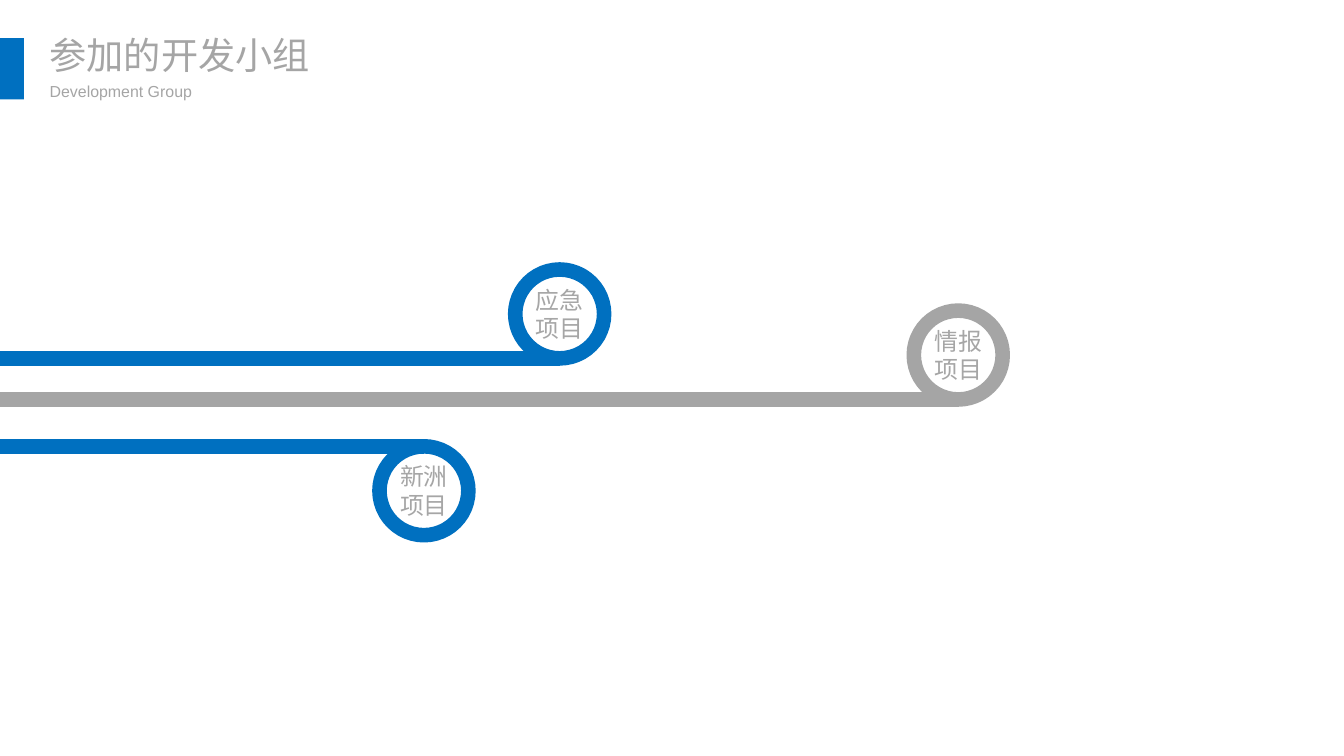
import pptx
import pptx.dml.color
import pptx.enum.shapes
import pptx.enum.text
import pptx.util
from lxml import etree

WIDTH, HEIGHT = 14.06, 7.91
BLUE, GRAY, LABEL, WHITE = "0070C0", "A5A5A5", "A6A6A6", "FFFFFF"
RING = 0.93
STROKE = 11
SHAPE = pptx.enum.shapes.MSO_SHAPE
ANCHOR = pptx.enum.text.MSO_ANCHOR
ALIGN = pptx.enum.text.PP_ALIGN
inch = pptx.util.Inches

# Label, colour, ring left and top within the track area, side the line meets
GROUPS = [
    ("应急项目", BLUE, 5.39, 0.0, "bottom"),
    ("情报项目", GRAY, 9.56, 0.43, "bottom"),
    ("新洲项目", BLUE, 3.97, 1.85, "top"),
]


def rgb(value):
    return pptx.dml.color.RGBColor.from_string(value)


def write(sp, text, size, color, align, anchor, wrap, insets):
    tf = sp.text_frame
    tf.word_wrap = wrap
    tf.auto_size = pptx.enum.text.MSO_AUTO_SIZE.NONE
    tf.vertical_anchor = anchor
    tf.margin_left = tf.margin_right = inch(insets[0])
    tf.margin_top = tf.margin_bottom = inch(insets[1])
    p = tf.paragraphs[0]
    p.text = text
    p.alignment = align
    p.font.name = "Arial"
    p.font.size = pptx.util.Pt(size)
    p.font.color.rgb = rgb(color)


def add_filled(slide, kind, x, y, w, h, fill):
    sp = slide.shapes.add_shape(kind, inch(x), inch(y), inch(w), inch(h))
    sp.shadow.inherit = False
    sp.fill.solid()
    sp.fill.fore_color.rgb = rgb(fill)
    sp.line.fill.background()
    return sp


def set_stroke(line, color):
    line.color.rgb = rgb(color)
    line.width = pptx.util.Pt(STROKE)


def add_track(slide, x, y, label, color, left, top, side):
    """Draw a ring and the line running from it to the left edge of the area."""
    ring_x, ring_y = x + left, y + top
    ring = add_filled(slide, SHAPE.OVAL, ring_x, ring_y, RING, RING, WHITE)
    set_stroke(ring.line, color)
    write(ring, label, 18, LABEL, ALIGN.CENTER, ANCHOR.MIDDLE, True, (0, 0))

    line_y = inch(ring_y + (RING if side == "bottom" else 0))
    line = slide.shapes.add_connector(
        pptx.enum.shapes.MSO_CONNECTOR.STRAIGHT,
        inch(ring_x + RING / 2), line_y, inch(x), line_y)
    set_stroke(line.line, color)
    etree.SubElement(line._element.spPr, pptx.oxml.ns.qn("a:effectLst"))


def add_tracks(slide, x, y):
    for group in GROUPS:
        add_track(slide, x, y, *group)


def add_header(slide, x, y, w, h):
    add_filled(slide, SHAPE.RECTANGLE, x, y + 0.11, 0.25, 0.64, BLUE)

    text_x = x + 0.41
    title = slide.shapes.title
    title.left, title.top = inch(text_x), inch(y)
    title.width, title.height = inch(w - 0.41), inch(0.58)
    subtitle = slide.shapes.add_textbox(
        inch(text_x), inch(y + h - 0.31), inch(1.71), inch(0.31))
    for sp, text, size in ((title, "参加的开发小组", 28),
                           (subtitle, "Development Group", 12)):
        write(sp, text, size, GRAY, ALIGN.LEFT, ANCHOR.TOP, False, (0.11, 0.05))


def main():
    prs = pptx.Presentation()
    prs.slide_width, prs.slide_height = inch(WIDTH), inch(HEIGHT)
    slide = prs.slides.add_slide(prs.slide_layouts.get_by_name("Title Only"))
    add_tracks(slide, 0, 2.82)
    add_header(slide, 0, 0.29, 3.37, 0.82)
    prs.save("out.pptx")


if __name__ == "__main__":
    main()
